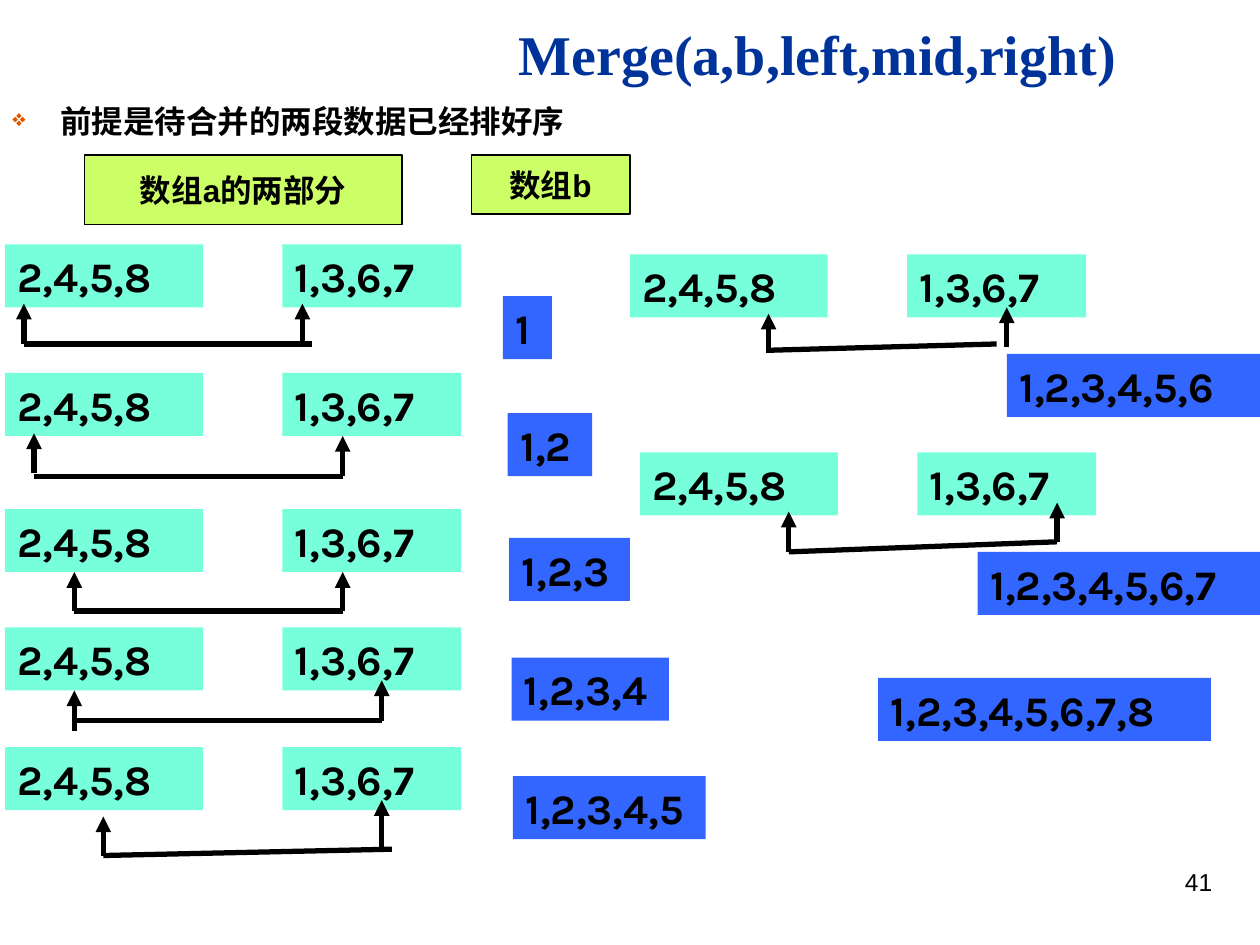
from dataclasses import dataclass

from lxml.etree import SubElement
from pptx import Presentation
from pptx.dml.color import RGBColor
from pptx.enum.shapes import MSO_CONNECTOR, MSO_SHAPE
from pptx.enum.text import MSO_ANCHOR, PP_ALIGN
from pptx.oxml.ns import qn
from pptx.util import Inches, Pt


@dataclass(frozen=True)
class Theme:
    ink: str = "000000"
    title: str = "003399"
    bullet: str = "DC5900"
    source: str = "77FFDB"
    merged: str = "3366FF"
    label: str = "CCFF66"
    heading_font: str = "Times New Roman"
    body_font: str = "Arial"
    data_font: str = "Karla"
    title_size: int = 32
    body_size: int = 18
    data_size: int = 24
    number_size: int = 14
    border: float = 0.75
    stroke: float = 3


theme = Theme()
prs = Presentation()
prs.slide_width, prs.slide_height = Inches(10), Inches(7.5)
slide = prs.slides.add_slide(prs.slide_layouts[6])


def add_text(text, left, top, width, height, *, fill=None, border=False,
             font=theme.data_font, size=theme.data_size, color=theme.ink, bold=True,
             align=PP_ALIGN.LEFT, anchor=MSO_ANCHOR.TOP, wrap=True, bullet=None):
    """Add text in a filled rectangle, or in a plain text box when fill is None."""
    box = [Inches(v) for v in (left, top, width, height)]
    if fill:
        holder = slide.shapes.add_shape(MSO_SHAPE.RECTANGLE, *box)
        holder.shadow.inherit = False
        holder.fill.solid()
        holder.fill.fore_color.rgb = RGBColor.from_string(fill)
        if border:
            holder.line.color.rgb = RGBColor.from_string(theme.ink)
            holder.line.width = Pt(theme.border)
        else:
            holder.line.fill.background()
    else:
        holder = slide.shapes.add_textbox(*box)
    frame = holder.text_frame
    frame.word_wrap = wrap
    frame.vertical_anchor = anchor
    paragraph = frame.paragraphs[0]
    paragraph.alignment = align
    if bullet:
        paragraph.line_spacing = 0.8
        props = paragraph._p.get_or_add_pPr()
        props.set("marL", str(Inches(0.38)))
        props.set("indent", str(-Inches(0.38)))
        SubElement(SubElement(props, qn("a:buClr")), qn("a:srgbClr"), val=theme.bullet)
        SubElement(props, qn("a:buSzPct"), val="75000")
        SubElement(props, qn("a:buChar"), char=bullet)
    run = paragraph.add_run()
    run.text = text
    run.font.name, run.font.size, run.font.bold = font, Pt(size), bold
    run.font.color.rgb = RGBColor.from_string(color)


def add_line(x1, y1, x2, y2, arrow=False):
    """Draw a line; an arrow points at its first end."""
    line = slide.shapes.add_connector(
        MSO_CONNECTOR.STRAIGHT, Inches(x1), Inches(y1), Inches(x2), Inches(y2))
    line.line.color.rgb = RGBColor.from_string(theme.ink)
    line.line.width = Pt(theme.stroke)
    if arrow:
        SubElement(line.line._get_or_add_ln(), qn("a:headEnd"), type="triangle")
    SubElement(line._element.spPr, qn("a:effectLst"))


add_text("Merge(a,b,left,mid,right)", 3.98, 0, 5.02, 0.84, font=theme.heading_font,
         size=theme.title_size, color=theme.title, align=PP_ALIGN.CENTER,
         anchor=MSO_ANCHOR.MIDDLE)
add_text("前提是待合并的两段数据已经排好序", 0, 0.82, 9.79, 0.6,
         font=theme.body_font, size=theme.body_size, bullet="❖")

for label, left, width, height in (("数组a的两部分", 0.67, 2.52, 0.55),
                                   ("数组b", 3.74, 1.26, 0.47)):
    add_text(label, left, 1.23, width, height, fill=theme.label, border=True,
             font=theme.body_font, size=theme.body_size, align=PP_ALIGN.CENTER,
             anchor=MSO_ANCHOR.MIDDLE, wrap=False)

# Each step: left and top of the two halves, the two pointers (x, tip, tail),
# and the line that joins the pointers (x1, y1, x2, y2)
steps = [
    (0.04, 1.94, (0.19, 2.41, 2.73), (2.4, 2.41, 2.73), (0.19, 2.73, 2.48, 2.73)),
    (0.04, 2.96, (0.27, 3.44, 3.75), (2.72, 3.46, 3.78), (0.27, 3.78, 2.72, 3.78)),
    (0.04, 4.04, (0.59, 4.54, 4.85), (2.72, 4.54, 4.85), (0.59, 4.85, 2.72, 4.85)),
    (0.04, 4.98, (0.59, 5.48, 5.8), (3.03, 5.4, 5.72), (0.59, 5.72, 3.03, 5.72)),
    (0.04, 5.93, (0.82, 6.48, 6.79), (3.03, 6.35, 6.74), (0.82, 6.79, 3.11, 6.74)),
    (5, 2.02, (6.1, 2.49, 2.8), (7.99, 2.44, 2.75), (6.1, 2.78, 7.91, 2.73)),
    (5.08, 3.59, (6.26, 4.06, 4.38), (8.39, 3.99, 4.3), (6.26, 4.38, 8.39, 4.3)),
]
for left, top, left_pointer, right_pointer, joint in steps:
    add_text("2,4,5,8", left, top, 1.57, 0.5, fill=theme.source)
    add_text("1,3,6,7", left + 2.2, top, 1.42, 0.5, fill=theme.source)
    for x, tip, tail in (left_pointer, right_pointer):
        add_line(x, tip, x, tail, arrow=True)
    add_line(*joint)

# Array b grows by one value per step: left, top, width
merged_boxes = [
    (3.99, 2.35, 0.39), (4.03, 3.28, 0.67), (4.04, 4.27, 0.96), (4.06, 5.22, 1.25),
    (4.07, 6.16, 1.53), (7.99, 2.81, 2.01), (7.76, 4.38, 2.24), (6.97, 5.38, 2.64),
]
for count, (left, top, width) in enumerate(merged_boxes, start=1):
    values = ",".join(str(n) for n in range(1, count + 1))
    add_text(values, left, top, width, 0.5, fill=theme.merged, wrap=count > 5)

add_text("41", 7.22, 6.83, 2.5, 0.52, font=theme.body_font, size=theme.number_size,
         bold=False, align=PP_ALIGN.RIGHT)

prs.save("out.pptx")
